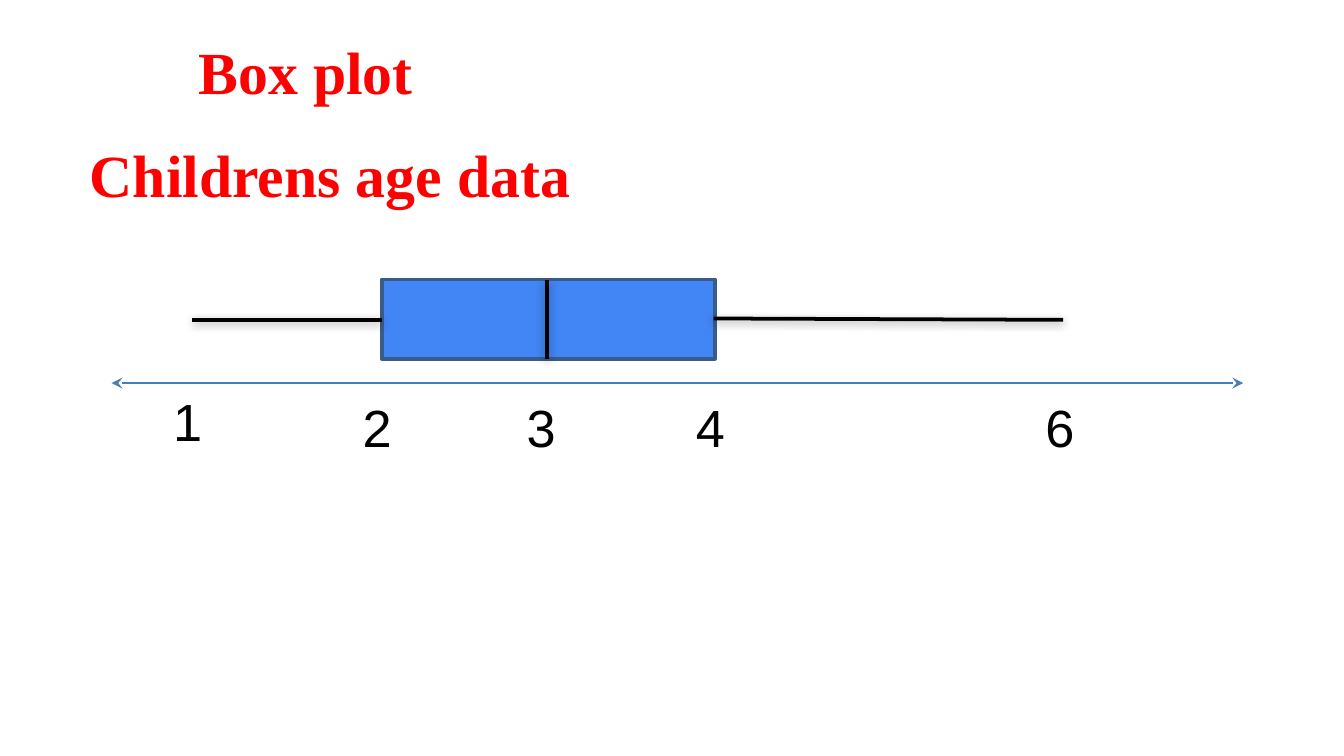
"""Build a slide with a box plot of children's ages."""
from lxml import etree
from pptx import Presentation
from pptx import util as u
from pptx.dml.color import RGBColor
from pptx.enum import shapes, text
from pptx.oxml.ns import qn

COLORS = {
    "title": "FF0000",
    "ink": "000000",
    "axis": "4A7EBB",
    "box": "4285F4",
    "edge": "385D8A",
}


class BoxPlotSlide:
    """Hold the style and the current slide, and draw each kind of element."""

    def __init__(self, prs):
        self.s = prs.slides.add_slide(prs.slide_layouts[6])

    def color(self, name):
        return RGBColor.from_string(COLORS[name])

    def label(self, words, x, y, w, h, size, font="Arial", color="ink", bold=False):
        sp = self.s.shapes.add_textbox(*map(u.Inches, (x, y, w, h)))
        tf = sp.text_frame
        tf.word_wrap = True
        tf.auto_size = text.MSO_AUTO_SIZE.SHAPE_TO_FIT_TEXT
        r = tf.paragraphs[0].add_run()
        r.text = words
        r.font.name, r.font.size, r.font.bold = font, u.Pt(size), bold
        r.font.color.rgb = self.color(color)

    def title(self, words, x, y, w):
        self.label(words, x, y, w, 0.64, 32, "Times New Roman", "title", True)

    def box(self, x, y, w, h):
        sp = self.s.shapes.add_shape(
            shapes.MSO_SHAPE.RECTANGLE, *map(u.Inches, (x, y, w, h)))
        sp.shadow.inherit = False
        sp.fill.solid()
        sp.fill.fore_color.rgb = self.color("box")
        sp.line.color.rgb = self.color("edge")
        sp.line.width = u.Pt(2)

    def line(self, x1, y1, x2, y2, color="ink", width=2):
        sp = self.s.shapes.add_connector(
            shapes.MSO_CONNECTOR.STRAIGHT, *map(u.Inches, (x1, y1, x2, y2)))
        sp.line.color.rgb = self.color(color)
        sp.line.width = u.Pt(width)
        return sp, etree.SubElement(sp._element.spPr, qn("a:effectLst"))

    def axis(self, x1, x2, y):
        sp, _ = self.line(x1, y, x2, y, "axis", 0.75)
        ln = sp._element.spPr.find(qn("a:ln"))
        for end in ("a:headEnd", "a:tailEnd"):
            etree.SubElement(ln, qn(end), type="stealth")

    def shadow_line(self, x1, y1, x2, y2):
        _, effects = self.line(x1, y1, x2, y2)
        shadow = etree.SubElement(
            effects, qn("a:outerShdw"), blurRad=str(u.Pt(5)),
            dist=str(u.Pt(1.6)), dir="5400000", rotWithShape="0")
        clr = etree.SubElement(shadow, qn("a:srgbClr"), val=COLORS["ink"])
        etree.SubElement(clr, qn("a:alpha"), val="37000")


def main():
    prs = Presentation()
    prs.slide_width = u.Inches(10)
    prs.slide_height = prs.slide_width * 9 // 16
    plot = BoxPlotSlide(prs)
    plot.title("Box plot", 1.38, 0.21, 1.92)
    ticks = {"2": (2.6, 2.89), "1": (1.19, 2.85), "3": (3.82, 2.89),
             "4": (5.08, 2.89), "6": (7.68, 2.89)}
    for age, (x, y) in ticks.items():
        plot.label(age, x, y, 0.47, 0.43, 28)
    plot.axis(0.83, 9.25, 2.85)
    plot.box(2.84, 2.08, 2.48, 0.59)
    median = (4.07, 2.08, 4.07, 2.67)
    low_whisker = (1.43, 2.38, 2.84, 2.38)
    high_whisker = (5.31, 2.37, 7.91, 2.38)
    for ends in (median, low_whisker, high_whisker):
        plot.shadow_line(*ends)
    plot.title("Childrens age data", 0.57, 0.98, 4.12)
    prs.save("out.pptx")


if __name__ == "__main__":
    main()
